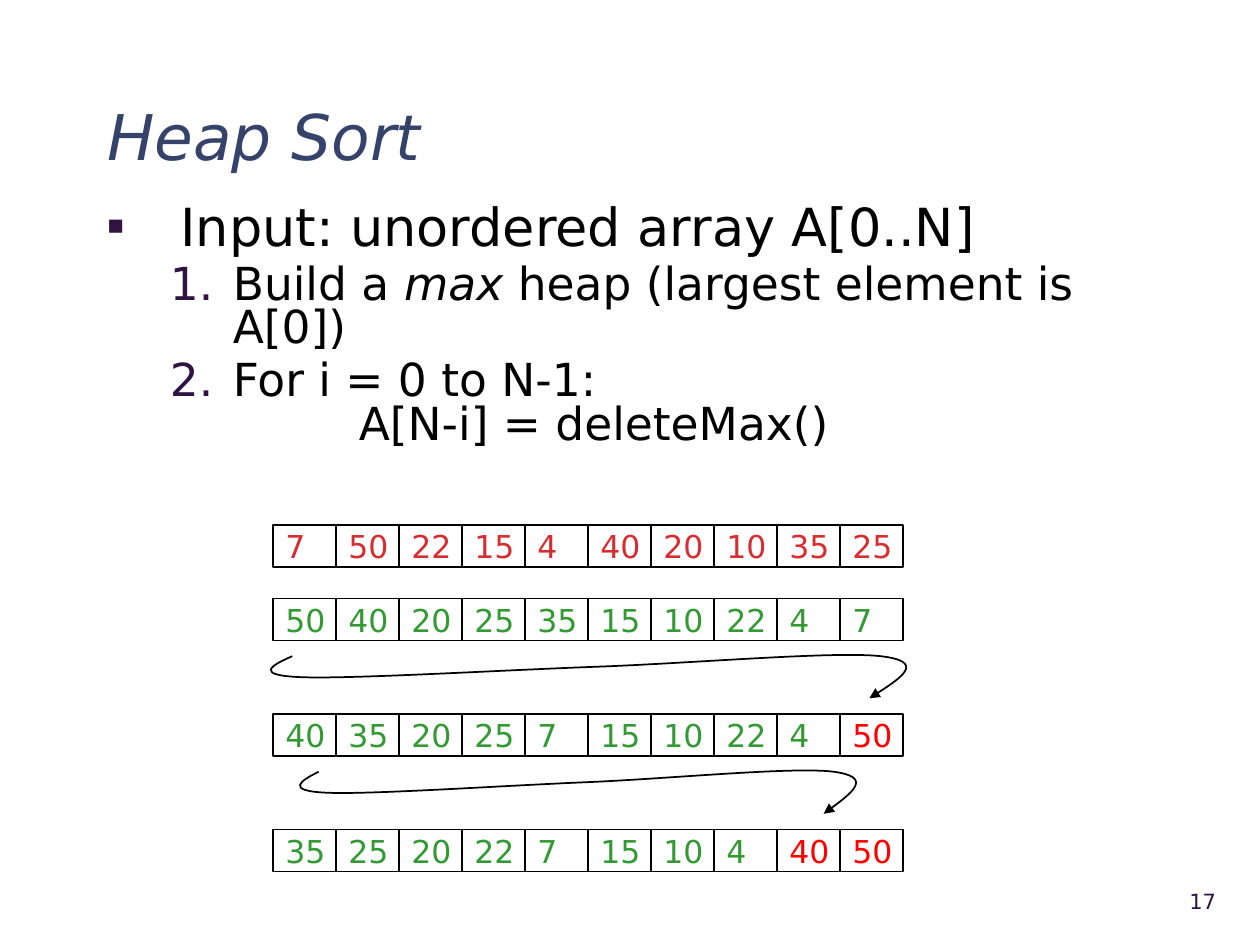
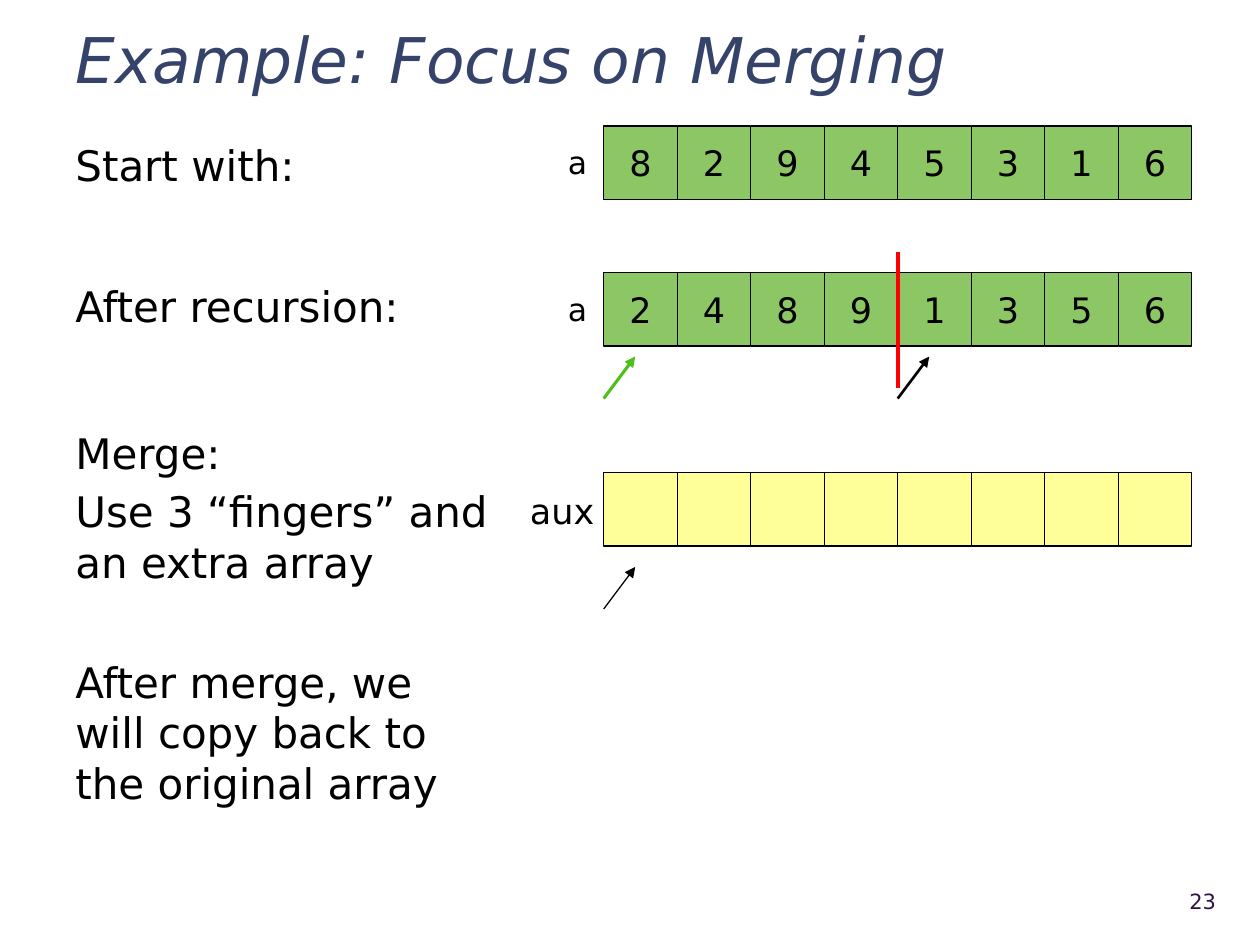
import dataclasses

import pptx
import pptx.dml.color
import pptx.enum.shapes
import pptx.enum.text
import pptx.oxml
import pptx.oxml.ns
import pptx.util

Pt = pptx.util.Pt
ALIGN = pptx.enum.text.PP_ALIGN
ANCHOR = pptx.enum.text.MSO_ANCHOR
NAMESPACE = pptx.oxml.ns.nsdecls("a")


@dataclasses.dataclass(frozen=True)
class Theme:
    font: str = "DejaVu Sans"
    title: str = "35436A"
    accent: str = "2F1343"
    ink: str = "000000"
    unsorted: str = "D62D31"
    heap: str = "339933"
    sorted: str = "FF0000"
    divider: str = "FF0000"
    array_fill: str = "8DC765"
    aux_fill: str = "FFFF99"
    left_finger: str = "4DC11A"
    title_size: float = 36
    input_size: float = 30
    step_size: float = 26
    body_size: float = 24
    value_size: float = 20
    label_size: float = 18
    number_size: float = 12
    gap_ratio: float = 0.2


THEME = Theme()
FINGER_REACH = (18, -24)
SWAP_WIDTH = 385.2
SWAP_START = (23, 3)
SWAP_CURVES = [
    (11.5, 8), (0, 14), (29, 15),
    (58, 16), (142, 11), (197.3, 9),
    (252, 7), (333, 0), (359.3, 3),
    (385.2, 6), (368.6, 17), (352.8, 27),
]


def color(code):
    return pptx.dml.color.RGBColor.from_string(code)


def apply(target, values):
    for name, value in values.items():
        setattr(target, name, value)


def place(box, left, top, width, height):
    apply(box, {"left": Pt(left), "top": Pt(top), "width": Pt(width), "height": Pt(height)})


def add_xml(parent, markup):
    parent.append(pptx.oxml.parse_xml(markup))


def write(para, text, size, ink=THEME.ink, italic=False):
    span = para.add_run()
    span.text = text
    apply(span.font, {"name": THEME.font, "size": Pt(size), "italic": italic})
    span.font.color.rgb = color(ink)


def add_text(page, frame, lines, size, ink=THEME.ink, align=ALIGN.LEFT, anchor=ANCHOR.TOP, gap=0):
    box = page.shapes.add_textbox(*map(Pt, frame))
    apply(box.text_frame, {"word_wrap": True, "vertical_anchor": anchor})
    for index, line in enumerate(lines):
        para = box.text_frame.add_paragraph() if index else box.text_frame.paragraphs[0]
        apply(para, {"alignment": align, "space_before": Pt(size * gap)})
        write(para, line, size, ink)
    return box


def add_page(deck, title, title_frame, number):
    page = deck.slides.add_slide(deck.slide_layouts[5])
    box = page.shapes.title
    place(box, *title_frame)
    apply(box.text_frame, {
        "word_wrap": True,
        "vertical_anchor": ANCHOR.MIDDLE,
        "auto_size": pptx.enum.text.MSO_AUTO_SIZE.NONE,
    })
    para = box.text_frame.paragraphs[0]
    apply(para, {"alignment": ALIGN.LEFT, "line_spacing": 1.1})
    write(para, title, THEME.title_size, THEME.title, italic=True)
    add_text(page, (640, 500.5, 62, 29), [number], THEME.number_size, THEME.accent,
             ALIGN.RIGHT, ANCHOR.MIDDLE)
    return page


def style_line(shape, ink, width, arrow=False):
    shape.line.color.rgb = color(ink)
    shape.line.width = Pt(width)
    if arrow:
        line = shape._element.spPr.find(pptx.oxml.ns.qn("a:ln"))
        add_xml(line, f'<a:tailEnd {NAMESPACE} type="triangle"/>')


def add_line(page, start, end, ink, width, arrow=False):
    line = page.shapes.add_connector(
        pptx.enum.shapes.MSO_CONNECTOR.STRAIGHT, *map(Pt, (*start, *end)))
    style_line(line, ink, width, arrow)
    add_xml(line._element.spPr, f"<a:effectLst {NAMESPACE}/>")


def add_finger(page, left, top, ink, width):
    tip = (left + FINGER_REACH[0], top + FINGER_REACH[1])
    add_line(page, (left, top), tip, ink, width, arrow=True)


def add_cells(page, values, inks, left, top, width, height, size, align, border, fill=None):
    for index, (value, ink) in enumerate(zip(values, inks)):
        cell = page.shapes.add_shape(
            pptx.enum.shapes.MSO_SHAPE.RECTANGLE,
            *map(Pt, (left + index * width, top, width, height)))
        cell.shadow.inherit = False
        if fill:
            cell.fill.solid()
            cell.fill.fore_color.rgb = color(fill)
        else:
            cell.fill.background()
        style_line(cell, THEME.ink, border)
        apply(cell.text_frame, {"word_wrap": False, "vertical_anchor": ANCHOR.MIDDLE})
        para = cell.text_frame.paragraphs[0]
        para.alignment = align
        if value:
            write(para, value, size, ink)


def add_heap_row(page, top, values, ink, sorted_count=0):
    values = values.split()
    inks = [ink] * (len(values) - sorted_count) + [THEME.sorted] * sorted_count
    add_cells(page, values, inks, 156, top, 36, 24, THEME.label_size, ALIGN.LEFT, 1)


def add_merge_row(page, top, values, fill):
    add_cells(page, values, [THEME.ink] * len(values), 345, top, 42, 42,
              THEME.value_size, ALIGN.CENTER, 0.75, fill)


def bend_segments(shape):
    outline = shape._element.spPr.find(".//" + pptx.oxml.ns.qn("a:path"))
    segments = outline.findall(pptx.oxml.ns.qn("a:lnTo"))
    for first in range(0, len(segments), 3):
        curve = pptx.oxml.parse_xml(f"<a:cubicBezTo {NAMESPACE}/>")
        for segment in segments[first:first + 3]:
            curve.append(segment[0])
            outline.remove(segment)
        outline.append(curve)


def add_swap_arrow(page, left, top, width):
    def locate(point):
        return Pt(left + point[0] * width / SWAP_WIDTH), Pt(top + point[1])

    builder = page.shapes.build_freeform(*locate(SWAP_START))
    builder.add_line_segments(map(locate, SWAP_CURVES), close=False)
    arrow = builder.convert_to_shape()
    bend_segments(arrow)
    arrow.fill.background()
    arrow.shadow.inherit = False
    style_line(arrow, THEME.ink, 1, arrow=True)


def add_bullet(para, margin, hang, size, marker, value, scale=100):
    apply(para, {"line_spacing": 0.8, "space_before": Pt(size * THEME.gap_ratio)})
    properties = para._p.get_or_add_pPr()
    for name, length in {"marL": margin, "indent": -hang, "defTabSz": 72}.items():
        properties.set(name, str(Pt(length)))
    for markup in (
        f'<a:buClr {NAMESPACE}><a:srgbClr val="{THEME.accent}"/></a:buClr>',
        f'<a:buSzPct {NAMESPACE} val="{scale * 1000}"/>',
        f'<a:buFont {NAMESPACE} typeface="{THEME.font}"/>',
        f'<a:{marker} {NAMESPACE} {value}/>',
    ):
        add_xml(properties, markup)


def add_algorithm(page):
    box = add_text(page, (54, 114, 612, 156), ["Input: unordered array A[0..N]"],
                   THEME.input_size)
    frame = box.text_frame
    add_bullet(frame.paragraphs[0], 42, 42, THEME.input_size, "buChar", 'char="▪"', 50)
    build, loop = frame.add_paragraph(), frame.add_paragraph()
    for step in (build, loop):
        add_bullet(step, 72, 36, THEME.step_size, "buAutoNum", 'type="arabicPeriod"')
    write(build, "Build a ", THEME.step_size)
    write(build, "max", THEME.step_size, italic=True)
    write(build, " heap (largest element is A[0])", THEME.step_size)
    write(loop, "For i = 0 to N-1:", THEME.step_size)
    loop.add_line_break()
    write(loop, "\tA[N-i] = deleteMax()", THEME.step_size)


def heap_sort_page(deck):
    page = add_page(deck, "Heap Sort", (54, 30, 612, 90), "17")
    add_algorithm(page)
    add_heap_row(page, 300, "7 50 22 15 4 40 20 10 35 25", THEME.unsorted)
    add_heap_row(page, 342, "50 40 20 25 35 15 10 22 4 7", THEME.heap)
    add_heap_row(page, 408, "40 35 20 25 7 15 10 22 4 50", THEME.heap, 1)
    add_heap_row(page, 474, "35 25 20 22 7 15 10 4 40 50", THEME.heap, 2)
    add_swap_arrow(page, 144, 372, SWAP_WIDTH)
    add_swap_arrow(page, 162, 438, 337)


def merging_page(deck):
    page = add_page(deck, "Example: Focus on Merging", (36, 12, 666, 38), "23")
    for frame, lines in (
        ((36, 76, 198, 78), ["Start with:"]),
        ((36, 156.5, 234, 47.5), ["After recursion:"]),
        ((36, 240.5, 253.5, 100), ["Merge:", "Use 3 “fingers” and an extra array"]),
        ((36, 371.5, 234, 96), ["After merge, we will copy back to the original array"]),
    ):
        add_text(page, frame, lines, THEME.body_size, gap=THEME.gap_ratio)
    add_merge_row(page, 72, "82945316", THEME.array_fill)
    add_merge_row(page, 155.75, "24891356", THEME.array_fill)
    add_merge_row(page, 270, [""] * 8, THEME.aux_fill)
    for top in (78.25, 162):
        add_text(page, (317.5, top, 42, 29), ["a"], THEME.label_size)
    add_text(page, (295.75, 276, 60, 31.5), ["aux"], THEME.value_size)
    add_line(page, (513, 144), (513, 222), THEME.divider, 2.25)
    add_finger(page, 345, 227.75, THEME.left_finger, 1.75)
    add_finger(page, 513, 227.75, THEME.ink, 1.5)
    add_finger(page, 345, 348, THEME.ink, 0.75)


def main():
    deck = pptx.Presentation()
    apply(deck, {"slide_width": Pt(720), "slide_height": Pt(540)})
    heap_sort_page(deck)
    merging_page(deck)
    deck.save("out.pptx")


if __name__ == "__main__":
    main()
